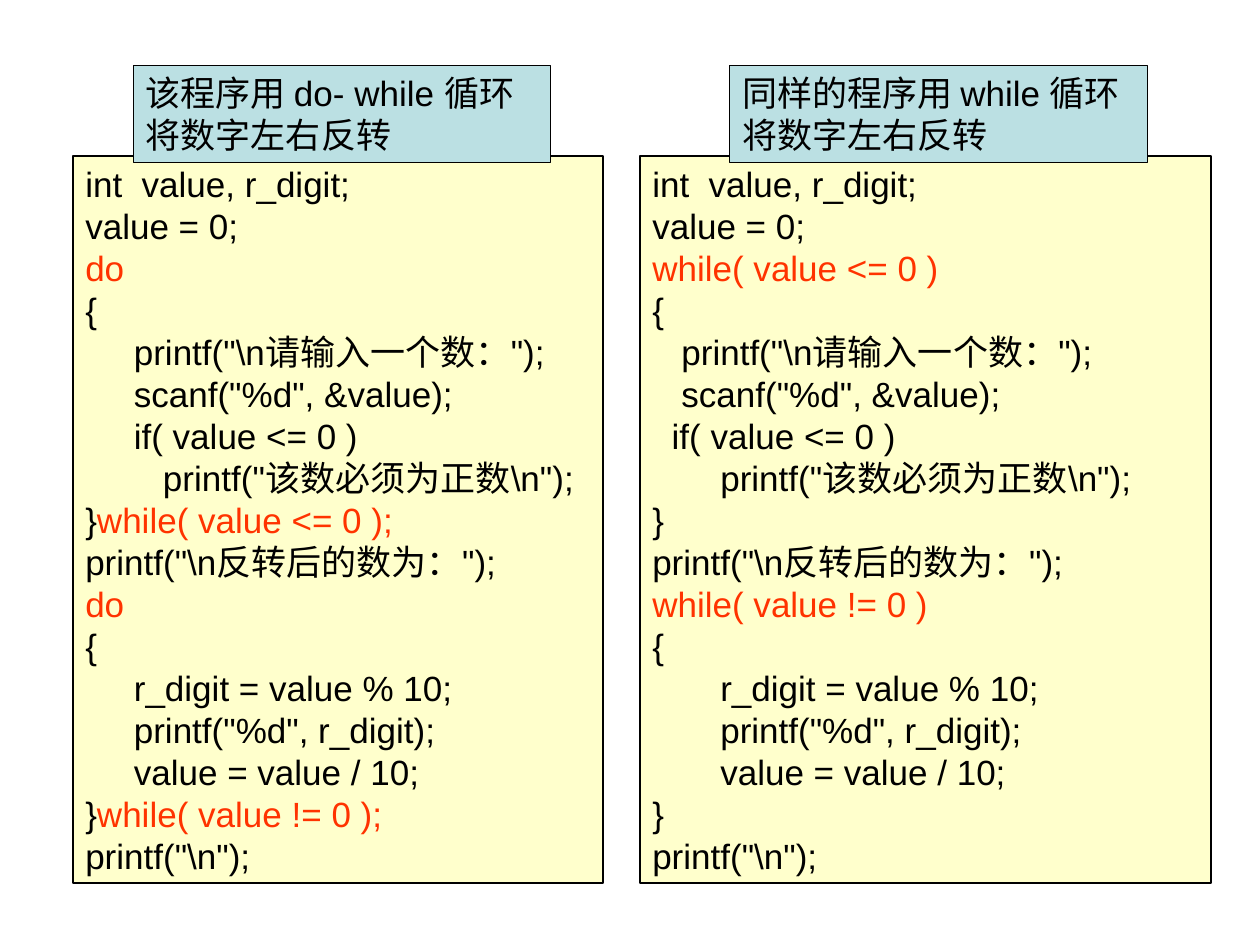
import itertools

import pptx
import pptx.dml.color
import pptx.enum.shapes
import pptx.enum.text
import pptx.util

Cm = pptx.util.Cm
Pt = pptx.util.Pt
RGBColor = pptx.dml.color.RGBColor
ANCHOR = pptx.enum.text.MSO_ANCHOR

BLACK = RGBColor(0x00, 0x00, 0x00)
RED = RGBColor(0xFF, 0x33, 0x00)
CREAM = RGBColor(0xFF, 0xFF, 0xCC)
PALE_BLUE = RGBColor(0xBB, 0xE0, 0xE3)

DO_WHILE_CODE = r"""int  value, r_digit;
value = 0;
do
{
     printf("\n请输入一个数：");
     scanf("%d", &value);
     if( value <= 0 )
        printf("该数必须为正数\n");
}while( value <= 0 );
printf("\n反转后的数为：");
do
{
     r_digit = value % 10;
     printf("%d", r_digit);
     value = value / 10;
}while( value != 0 );
printf("\n");"""

WHILE_CODE = r"""int  value, r_digit;
value = 0;
while( value <= 0 )
{
   printf("\n请输入一个数：");
   scanf("%d", &value);
  if( value <= 0 )
       printf("该数必须为正数\n");
}
printf("\n反转后的数为：");
while( value != 0 )
{
       r_digit = value % 10;
       printf("%d", r_digit);
       value = value / 10;
}
printf("\n");"""

# Panel box and caption offset, in centimetres.
PANELS = [
    {"box": (1.47, 3.15, 10.69, 14.66), "caption_shift": 1.22, "wrap": False,
     "caption": "该程序用 do- while 循环将数字左右反转", "code": DO_WHILE_CODE},
    {"box": (12.9, 3.15, 11.51, 14.66), "caption_shift": 1.81, "wrap": True,
     "caption": "同样的程序用 while 循环将数字左右反转", "code": WHILE_CODE},
]
CAPTION_RISE, CAPTION_WIDTH, CAPTION_HEIGHT = 1.83, 8.41, 1.96


def add_box(page, box, fill, line_width, anchor, wrap):
    """Add an outlined rectangle and return its text frame."""
    shape = page.shapes.add_shape(
        pptx.enum.shapes.MSO_SHAPE.RECTANGLE, *(Cm(length) for length in box))
    shape.shadow.inherit = False
    shape.fill.solid()
    shape.fill.fore_color.rgb = fill
    shape.line.color.rgb = BLACK
    shape.line.width = Pt(line_width)
    frame_format = {
        "margin_left": Cm(0.25), "margin_right": Cm(0.25),
        "margin_top": Cm(0.13), "margin_bottom": Cm(0.13),
        "vertical_anchor": anchor, "word_wrap": wrap,
        "auto_size": pptx.enum.text.MSO_AUTO_SIZE.SHAPE_TO_FIT_TEXT,
    }
    for name, value in frame_format.items():
        setattr(shape.text_frame, name, value)
    return shape.text_frame


def format_para(para):
    para.alignment = pptx.enum.text.PP_ALIGN.LEFT
    para.line_spacing = Pt(24)


def add_span(para, text, color=BLACK, font_name="Arial"):
    span = para.add_run()
    span.text = text
    for name, value in {"name": font_name, "size": Pt(20)}.items():
        setattr(span.font, name, value)
    span.font.color.rgb = color


def is_chinese(character):
    return ord(character) > 0x2E80


def add_code_line(para, line):
    """Write one line of code with loop keywords in red."""
    format_para(para)
    body = line.lstrip("}")
    if body.startswith(("do", "while")):
        if body != line:
            add_span(para, "}")
        add_span(para, body, RED)
        return
    for chinese, characters in itertools.groupby(line, is_chinese):
        add_span(para, "".join(characters),
                 font_name="Courier New" if chinese else "Arial")


def add_panel(page, box, caption_shift, wrap, caption, code):
    """Add a code listing with its caption over the top edge."""
    frame = add_box(page, box, CREAM, 1.25, ANCHOR.MIDDLE, wrap)
    for index, line in enumerate(code.splitlines()):
        para = frame.add_paragraph() if index else frame.paragraphs[0]
        add_code_line(para, line)

    left, top = box[:2]
    caption_box = (left + caption_shift, top - CAPTION_RISE,
                   CAPTION_WIDTH, CAPTION_HEIGHT)
    frame = add_box(page, caption_box, PALE_BLUE, 0.25, ANCHOR.TOP, True)
    format_para(frame.paragraphs[0])
    add_span(frame.paragraphs[0], caption)


def main():
    deck = pptx.Presentation()
    deck.slide_width, deck.slide_height = Cm(25.4), Cm(19.05)
    page = deck.slides.add_slide(deck.slide_layouts[6])
    for panel in PANELS:
        add_panel(page, **panel)
    deck.save("out.pptx")


if __name__ == "__main__":
    main()
